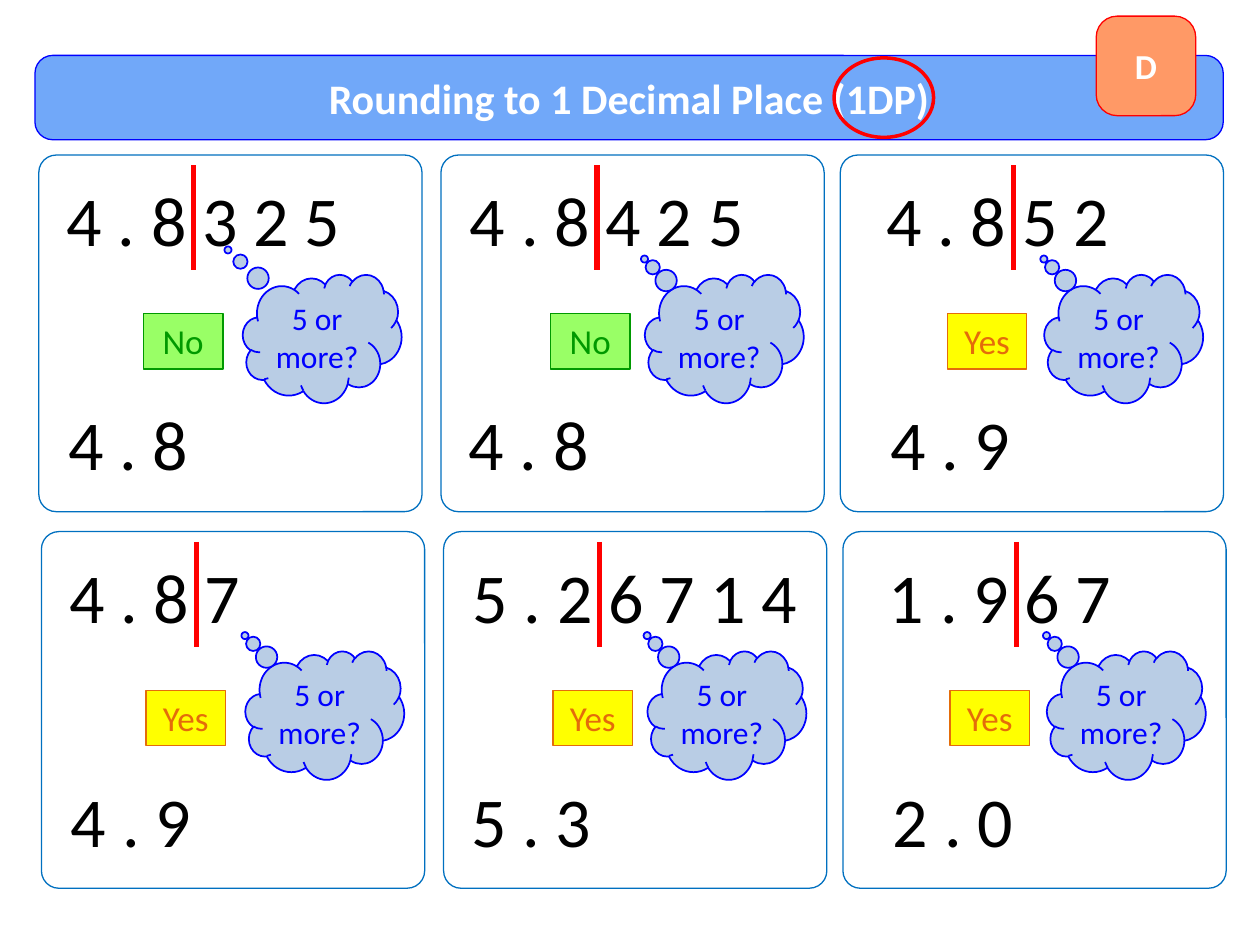
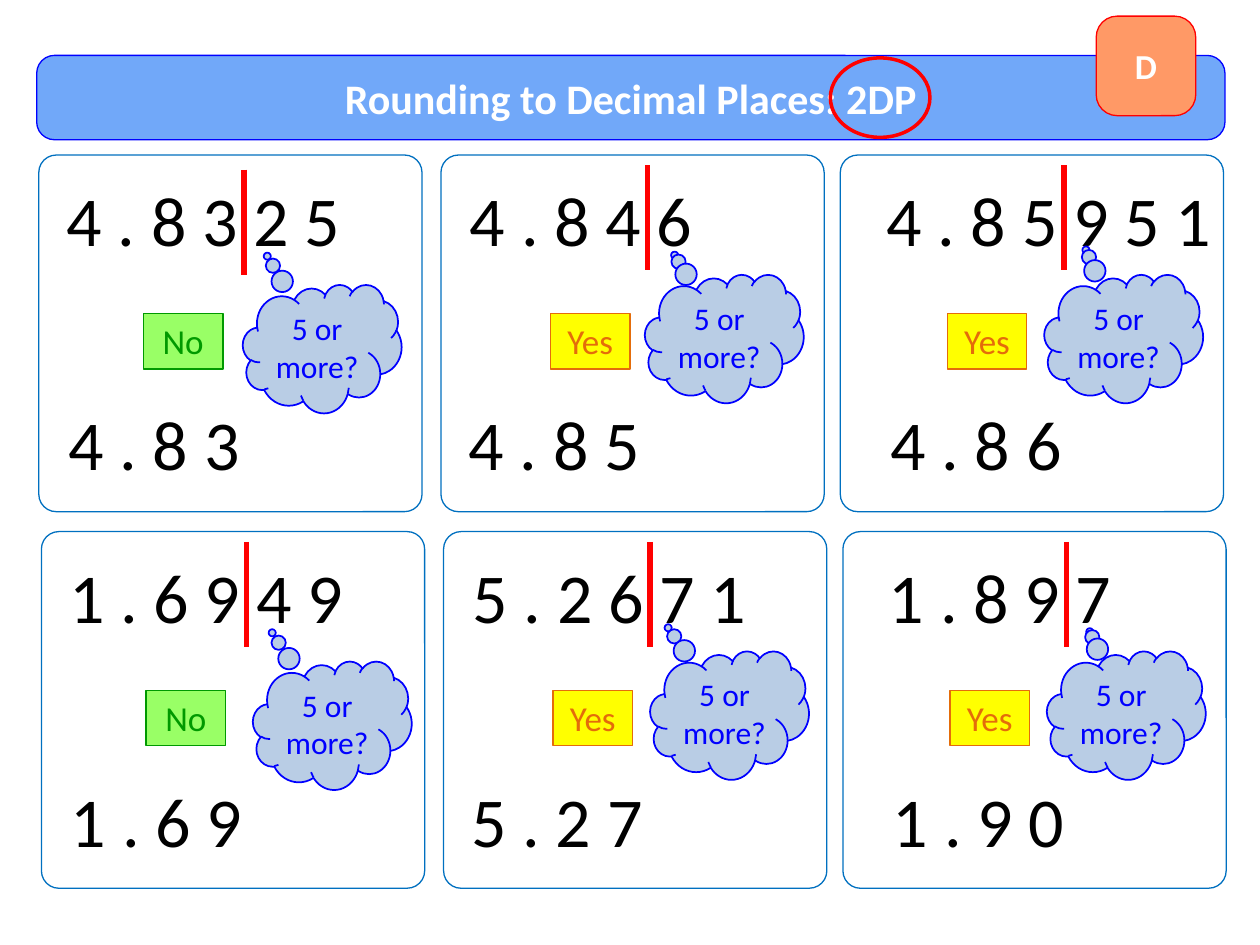
from collections import namedtuple

from lxml.etree import SubElement
from pptx import Presentation
from pptx.dml.color import RGBColor
from pptx.enum.shapes import MSO_CONNECTOR, MSO_SHAPE
from pptx.enum.text import MSO_ANCHOR, PP_ALIGN
from pptx.oxml.ns import qn
from pptx.util import Pt

# Content: six worked examples a slide, row by row
Example = namedtuple(
    "Example", "number answer verdict tail cloud_shift cut_drop",
    defaults=[(-0.503, -0.62), (0, 0), 0])

LESSONS = [
    {
        "title": "Rounding to 1 Decimal Place (1DP)",
        "places": 1, "title_left": 20, "ring_left": 476.6,
        "examples": [
            Example("4 . 8 3 2 5", "4 . 8", "No", (-0.594, -0.691)),
            Example("4 . 8 4 2 5", "4 . 8", "No"),
            Example("4 . 8 5 2", "4 . 9", "Yes"),
            Example("4 . 8 7", "4 . 9", "Yes"),
            Example("5 . 2 6 7 1 4", "5 . 3", "Yes"),
            Example("1 . 9 6 7", "2 . 0", "Yes"),
        ],
    },
    {
        "title": "Rounding to Decimal Places: 2DP",
        "places": 2, "title_left": 21, "ring_left": 474.5,
        "examples": [
            Example("4 . 8 3 2 5", "4 . 8 3", "No", (-0.346, -0.721), (0, 5.8), 2.5),
            Example("4 . 8 4 6", "4 . 8 5", "Yes", (-0.313, -0.65)),
            Example("4 . 8 5 9 5 1", "4 . 8 6", "Yes", (-0.238, -0.691)),
            Example("1 . 6 9 4 9", "1 . 6 9", "No", (-0.379, -0.721), (4.3, 5.8)),
            Example("5 . 2 6 7 1", "5 . 2 7", "Yes", (-0.387, -0.681), (1.5, 0)),
            Example("1 . 8 9 7", "1 . 9 0", "Yes", (-0.23, -0.65)),
        ],
    },
]
QUESTION = "5 or more?"
GRADE = "D"

# Shared look
FONT = "Calibri"
COLOURS = {
    "white": "FFFFFF", "black": "000000", "red": "FF0000", "blue": "0000FF",
    "band": "71A8F9", "badge": "FF9966", "panel": "0070C0", "cloud": "B9CDE5",
    "green": "009900", "lime": "99FF66", "yellow": "FFFF00", "orange": "E46C0A",
}
VERDICT_COLOURS = {"No": ("lime", "green"), "Yes": ("yellow", "orange")}

# Grid of panels, and where parts sit inside a panel of each column
COLUMN_LEFTS = [22.2, 252, 480.2]
ROW_TOPS = [88.6, 303.8]
ROW_SHIFT = 1.5
PANEL_SIZE = (219, 203.8)
NUMBER_OFFSETS = [8.7, 9.4, 19.2]
ANSWER_OFFSETS = [9.8, 8.7, 21.5]
VERDICT_OFFSETS = [59.8, 62.6, 61.2]
FIRST_CUT, DIGIT_STEP = 79.8, 28.8


def colour(name):
    return RGBColor.from_string(COLOURS[name])


def write_text(box, text, size=40, ink="black", bold=False,
               align=PP_ALIGN.LEFT, anchor=MSO_ANCHOR.TOP):
    frame = box.text_frame
    frame.word_wrap = True
    frame.vertical_anchor = anchor
    para = frame.paragraphs[0]
    para.alignment = align
    span = para.add_run()
    span.text = text
    span.font.name = FONT
    span.font.size = Pt(size)
    span.font.bold = bold
    span.font.color.rgb = colour(ink)


def add_box(shapes, kind, left, top, width, height, line, fill=None,
            weight=0.75, adjustments=()):
    box = shapes.add_shape(kind, Pt(left), Pt(top), Pt(width), Pt(height))
    box.shadow.inherit = False
    if fill:
        box.fill.solid()
        box.fill.fore_color.rgb = colour(fill)
    else:
        box.fill.background()
    box.line.color.rgb = colour(line)
    box.line.width = Pt(weight)
    for index, value in enumerate(adjustments):
        box.adjustments[index] = value
    return box


def add_label(shapes, text, left, top, width, height, **text_format):
    label = shapes.add_textbox(Pt(left), Pt(top), Pt(width), Pt(height))
    write_text(label, text, **text_format)


def add_cut(shapes, left, top, height):
    cut = shapes.add_connector(
        MSO_CONNECTOR.STRAIGHT, Pt(left), Pt(top), Pt(left), Pt(top + height))
    cut.line.color.rgb = colour("red")
    cut.line.width = Pt(3)
    SubElement(cut._element.spPr, qn("a:effectLst"))


def add_thought(shapes, left, top, tail):
    group = shapes.add_group_shape()
    add_box(group.shapes, MSO_SHAPE.CLOUD_CALLOUT, left, top, 90.7, 73.4,
            "blue", "cloud", weight=1, adjustments=tail)
    add_label(group.shapes, QUESTION, left + 4.6, top + 10.4, 75.6, 51,
              size=18, ink="blue", align=PP_ALIGN.CENTER)


def add_example(shapes, example, row, column, places):
    left = COLUMN_LEFTS[column] + row * ROW_SHIFT
    top = ROW_TOPS[row]
    number_left = left + NUMBER_OFFSETS[column]

    # Panel, cut line and the number to round
    add_box(shapes, MSO_SHAPE.ROUNDED_RECTANGLE, left, top, *PANEL_SIZE,
            "panel", adjustments=[0.049])
    add_cut(shapes, number_left + FIRST_CUT + (places - 1) * DIGIT_STEP,
            top + 5.8 + example.cut_drop, 60)
    add_label(shapes, example.number, number_left, top + 9, 211, 55.4)

    # Question, verdict and answer
    shift_x, shift_y = example.cloud_shift
    add_thought(shapes, left + 116.6 + shift_x, top + 68.2 + shift_y, example.tail)
    fill, ink = VERDICT_COLOURS[example.verdict]
    verdict = add_box(shapes, MSO_SHAPE.RECTANGLE, left + VERDICT_OFFSETS[column],
                      top + 90.7, 45.4, 31.7, ink, fill)
    write_text(verdict, example.verdict, size=20, ink=ink, align=PP_ALIGN.CENTER)
    add_label(shapes, example.answer, left + ANSWER_OFFSETS[column], top + 137,
              174, 55.4)


def build_page(deck, lesson):
    page = deck.slides.add_slide(deck.slide_layouts[6])
    shapes = page.shapes
    centred = {"ink": "white", "bold": True, "align": PP_ALIGN.CENTER,
               "anchor": MSO_ANCHOR.MIDDLE}

    # Title band
    band = add_box(shapes, MSO_SHAPE.ROUNDED_RECTANGLE, lesson["title_left"], 31.7,
                   679, 48.2, "blue", "band", adjustments=[0.211])
    write_text(band, lesson["title"], size=24, **centred)

    # Worked examples
    for index, example in enumerate(lesson["examples"]):
        row, column = divmod(index, len(COLUMN_LEFTS))
        add_example(shapes, example, row, column, lesson["places"])

    # Ring round the accuracy, and grade badge
    add_box(shapes, MSO_SHAPE.OVAL, lesson["ring_left"], 33.1, 56.9, 45.4,
            "red", weight=2)
    badge = add_box(shapes, MSO_SHAPE.ROUNDED_RECTANGLE, 626.4, 9.2, 56.9, 56.9,
                    "red", "badge", adjustments=[0.211])
    write_text(badge, GRADE, size=20, **centred)


def main():
    deck = Presentation()
    deck.slide_width, deck.slide_height = Pt(720), Pt(540)
    for lesson in LESSONS:
        build_page(deck, lesson)
    deck.save("out.pptx")


if __name__ == "__main__":
    main()
